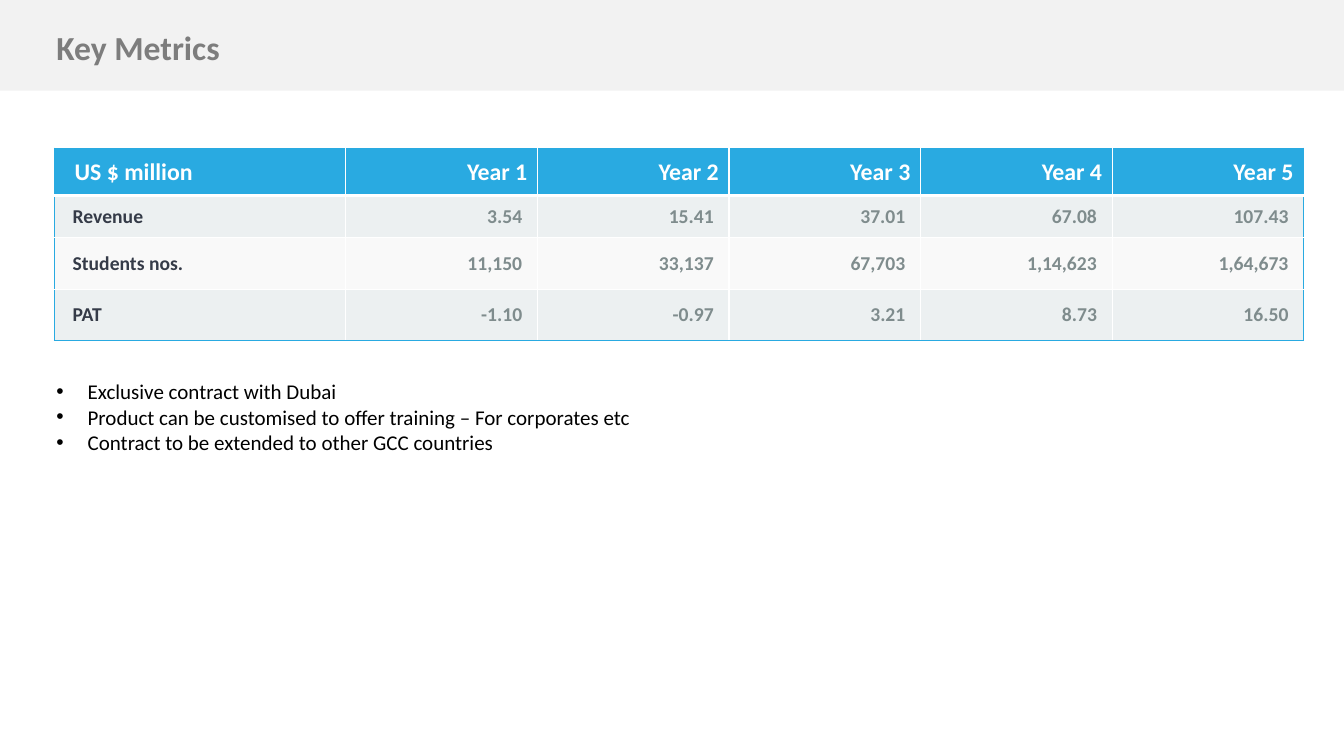
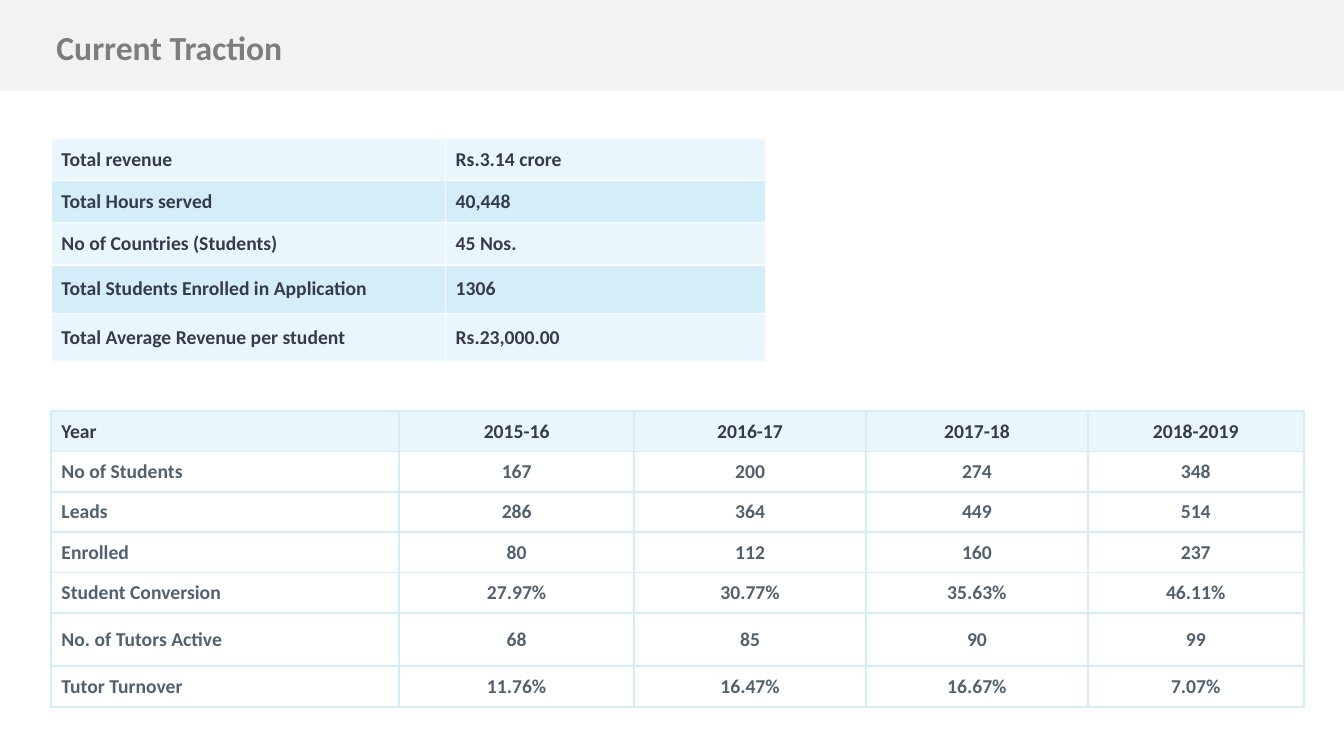
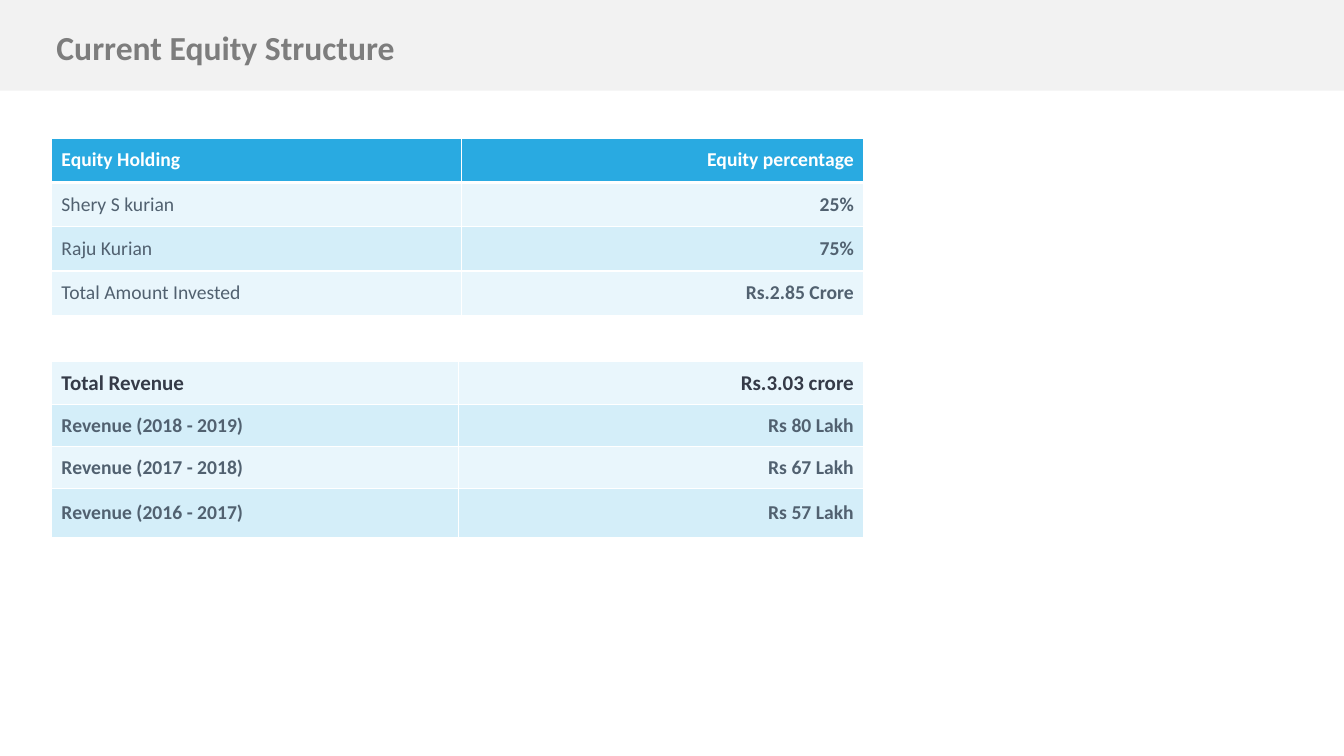
from dataclasses import dataclass
from typing import Optional

from lxml import etree
from pptx import Presentation
from pptx import util as u
from pptx.dml.color import RGBColor
from pptx.enum import shapes, text
from pptx.oxml import ns

# Shared style
FONT = "Calibri"
WHITE, BLACK, BLUE = "FFFFFF", "000000", "29AAE1"
BAND, TITLE = "F2F2F2", "7D7D7D"
PALE, SKY = "E9F6FC", "D4EEF9"
MIST, SNOW = "ECF0F1", "F9F9F9"
DARK, SLATE, GREY = "353B48", "516170", "7F8C8D"
LEFT, CENTER, RIGHT = text.PP_ALIGN.LEFT, text.PP_ALIGN.CENTER, text.PP_ALIGN.RIGHT


@dataclass
class Look:
    """How one table row appears; the label is its first cell."""
    fill: Optional[str]
    ink: str
    size: int = 14
    label_ink: Optional[str] = None
    label_bold: bool = True
    indent: float = 0.1
    right: float = 0.1
    rule: float = 0  # thicker line below the row


def rgb(value):
    return RGBColor.from_string(value)


def style(paragraph, size, ink, bold=False):
    font = paragraph.font
    font.name, font.size, font.bold = FONT, u.Pt(size), bold
    font.color.rgb = rgb(ink)


def add_border(cell, side, colour, width):
    line = etree.SubElement(cell._tc.get_or_add_tcPr(), ns.qn("a:ln" + side), w=str(u.Pt(width)))
    fill = etree.SubElement(line, ns.qn("a:solidFill"))
    etree.SubElement(fill, ns.qn("a:srgbClr"), val=colour)


class Deck:
    def __init__(self):
        self.prs = Presentation()
        self.prs.slide_width, self.prs.slide_height = u.Inches(13.33), u.Inches(7.5)
        self.slide = None

    def frame(self, shape, left, top, width, height):
        """Place a text shape and give it the common insets."""
        shape.left, shape.top = u.Inches(left), u.Inches(top)
        shape.width, shape.height = u.Inches(width), u.Inches(height)
        body = shape.text_frame
        body.word_wrap = True
        body.auto_size = text.MSO_AUTO_SIZE.SHAPE_TO_FIT_TEXT
        body.vertical_anchor = text.MSO_ANCHOR.TOP
        body.margin_left = body.margin_right = u.Inches(0.05)
        body.margin_top = body.margin_bottom = u.Inches(0.05)
        return body

    def new_slide(self, heading):
        self.slide = self.prs.slides.add_slide(self.prs.slide_layouts[5])
        title = self.slide.shapes.title
        band = self.slide.shapes.add_shape(
            shapes.MSO_SHAPE.RECTANGLE, 0, 0, self.prs.slide_width, u.Inches(0.9))
        band.shadow.inherit = False
        band.fill.solid()
        band.fill.fore_color.rgb = rgb(BAND)
        band.line.fill.background()
        title._element.addprevious(band._element)

        body = self.frame(title, 0.51, 0.26, 9.04, 0.46)
        body.text = heading
        line = body.paragraphs[0]
        line.alignment, line.line_spacing = LEFT, 0.9
        style(line, 24, TITLE, True)

    def bullets(self, left, top, width, height, points):
        box = self.slide.shapes.add_textbox(0, 0, 0, 0)
        body = self.frame(box, left, top, width, height)
        body.text = "\n".join(points)
        for point in body.paragraphs:
            style(point, 15, BLACK)
            props = point._p.get_or_add_pPr()
            props.set("marL", str(u.Inches(0.31)))
            props.set("indent", str(-u.Inches(0.31)))
            etree.SubElement(props, ns.qn("a:buFont"), typeface="Arial")
            etree.SubElement(props, ns.qn("a:buChar"), char="•")

    def table(self, left, top, widths, rows, align=LEFT, grid=WHITE, edge=None, weight=1):
        """Each row is (look, height, cell texts)."""
        table = self.slide.shapes.add_table(
            len(rows), len(widths), u.Inches(left), u.Inches(top),
            u.Inches(sum(widths)), u.Inches(sum(height for _, height, _ in rows))).table
        table.first_row = table.horz_banding = False
        for column, width in zip(table.columns, widths):
            column.width = u.Inches(width)
        for r, (look, height, words) in enumerate(rows):
            table.rows[r].height = u.Inches(height)
            for c, word in enumerate(words):
                outer = {"L": c == 0, "R": c == len(widths) - 1,
                         "T": r == 0, "B": r == len(rows) - 1}
                cell = table.cell(r, c)
                for side, is_outer in outer.items():
                    thick = look.rule if side == "B" and look.rule else weight
                    add_border(cell, side, edge if edge and is_outer else grid, thick)
                self.fill_cell(cell, word, look, c == 0, align)

    def fill_cell(self, cell, word, look, is_label, align):
        if look.fill:
            cell.fill.solid()
            cell.fill.fore_color.rgb = rgb(look.fill)
        else:
            cell.fill.background()
        cell.vertical_anchor = text.MSO_ANCHOR.MIDDLE
        cell.margin_left = u.Inches(look.indent if is_label else 0.1)
        cell.margin_right = u.Inches(look.right)
        cell.text = word
        line = cell.text_frame.paragraphs[0]
        line.alignment = LEFT if is_label else align
        ink = look.label_ink if is_label and look.label_ink else look.ink
        style(line, look.size, ink, look.label_bold if is_label else True)


deck = Deck()

# Key metrics
deck.new_slide("Key Metrics")
years = Look(BLUE, WHITE, 17, indent=0.2, rule=3)
mist, snow = (Look(fill, GREY, label_ink=DARK, indent=0.18, right=0.15) for fill in (MIST, SNOW))
deck.table(0.54, 1.47, [2.89] + [1.9] * 5, [
    (years, 0.47, ["US $ million"] + [f"Year {n}" for n in range(1, 6)]),
    (mist, 0.42, ["Revenue", "3.54", "15.41", "37.01", "67.08", "107.43"]),
    (snow, 0.51, ["Students nos.", "11,150", "33,137", "67,703", "1,14,623", "1,64,673"]),
    (mist, 0.51, ["PAT", "-1.10", "-0.97", "3.21", "8.73", "16.50"]),
], align=RIGHT, edge=BLUE)
deck.bullets(0.51, 3.71, 8.07, 0.86, [
    "Exclusive contract with Dubai",
    "Product can be customised to offer training – For corporates etc",
    "Contract to be extended to other GCC countries",
])

# Current traction
deck.new_slide("Current Traction")
pale, sky = Look(PALE, DARK), Look(SKY, DARK)
deck.table(0.51, 1.37, [3.91, 3.17], [
    (pale, 0.42, ["Total revenue", "Rs.3.14 crore"]),
    (sky, 0.42, ["Total Hours served", "40,448"]),
    (pale, 0.42, ["No of Countries (Students)", "45 Nos."]),
    (sky, 0.48, ["Total Students Enrolled in Application", "1306"]),
    (pale, 0.48, ["Total Average Revenue per student", "Rs.23,000.00"]),
])
plain = Look(None, SLATE)
deck.table(0.51, 4.08, [3.45, 2.33, 2.3, 2.2, 2.14], [
    (pale, 0.4, ["Year", "2015-16", "2016-17", "2017-18", "2018-2019"]),
    (plain, 0.4, ["No of Students", "167", "200", "274", "348"]),
    (plain, 0.4, ["Leads", "286", "364", "449", "514"]),
    (plain, 0.4, ["Enrolled", "80", "112", "160", "237"]),
    (plain, 0.4, ["Student Conversion", "27.97%", "30.77%", "35.63%", "46.11%"]),
    (plain, 0.53, ["No. of Tutors Active", "68", "85", "90", "99"]),
    (plain, 0.4, ["Tutor Turnover", "11.76%", "16.47%", "16.67%", "7.07%"]),
], align=CENTER, grid=SKY, weight=1.5)

# Current equity structure
deck.new_slide("Current Equity Structure")
holders = Look(BLUE, WHITE, rule=3)
pale_holder, sky_holder = (Look(fill, SLATE, label_bold=False) for fill in (PALE, SKY))
deck.table(0.51, 1.37, [4.07, 3.99], [
    (holders, 0.44, ["Equity Holding", "Equity percentage"]),
    (pale_holder, 0.44, ["Shery S kurian", "25%"]),
    (sky_holder, 0.44, ["Raju Kurian", "75%"]),
    (pale_holder, 0.44, ["Total Amount Invested", "Rs.2.85 Crore"]),
], align=RIGHT)
total, pale_year, sky_year = Look(PALE, DARK, 15), Look(PALE, SLATE), Look(SKY, SLATE)
deck.table(0.51, 3.59, [4.04, 4.02], [
    (total, 0.42, ["Total Revenue", "Rs.3.03 crore"]),
    (sky_year, 0.42, ["Revenue (2018 - 2019)", "Rs 80 Lakh"]),
    (pale_year, 0.42, ["Revenue (2017 - 2018)", "Rs 67 Lakh"]),
    (sky_year, 0.48, ["Revenue (2016 - 2017)", "Rs 57 Lakh"]),
], align=RIGHT)

deck.prs.save("out.pptx")
